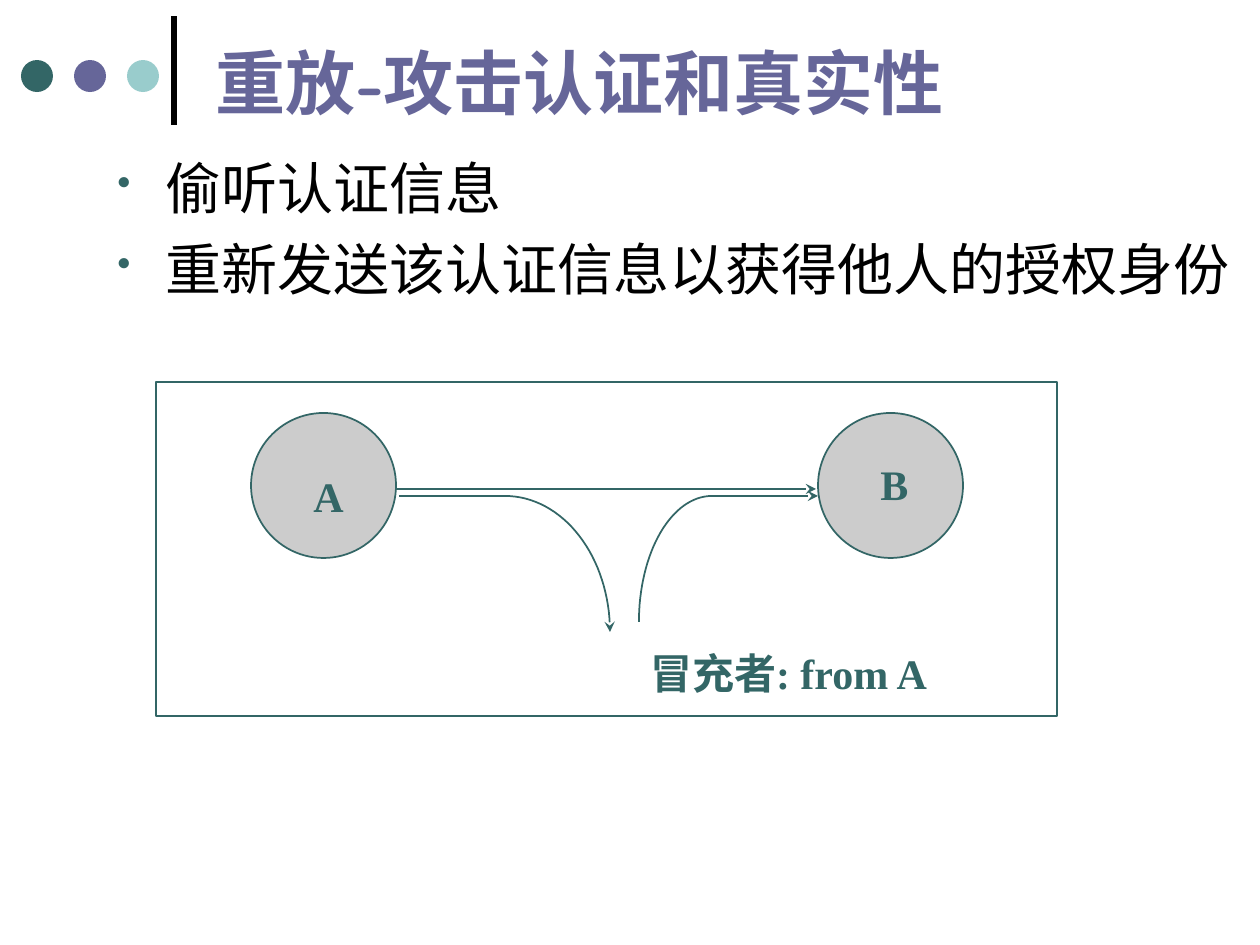
"""Build the slide on replay attacks against authentication."""
from math import cos, pi, sin

from lxml.etree import SubElement
from pptx import Presentation
from pptx.dml.color import RGBColor
from pptx.enum.shapes import MSO_CONNECTOR, MSO_SHAPE
from pptx.enum.text import MSO_ANCHOR, PP_ALIGN
from pptx.oxml.ns import qn
from pptx.util import Pt

PX = 914400 // 126
BLACK = RGBColor(0x00, 0x00, 0x00)
WHITE = RGBColor(0xFF, 0xFF, 0xFF)
GRAY = RGBColor(0xCC, 0xCC, 0xCC)
TEAL = RGBColor(0x33, 0x66, 0x66)
PURPLE = RGBColor(0x66, 0x66, 0x99)
AQUA = RGBColor(0x99, 0xCC, 0xCC)

TITLE = "重放-攻击认证和真实性"
BULLETS = ["偷听认证信息", "重新发送该认证信息以获得他人的授权身份"]
DOTS = [TEAL, PURPLE, AQUA]
DOT_LEFT, DOT_TOP, DOT_SIZE, DOT_STEP = 21, 60, 32, 53
FRAME = (156, 382, 901, 334)
NODES = [(251, 413), (818, 413)]
NODE_SIZE = 145
NODE_LABELS = [("A", (301, 464, 55, 63)), ("B", (868, 452, 53, 63))]
ATTACKER = "冒充者: from A"
LINES = [
    ((712, 496), (818, 496), True),
    ((396, 489), (816, 489), True),
    ((399, 496), (505, 496), False),
]
CURVES = [
    {"center": (712, 622), "radii": (73, 126), "start": pi, "end": pi / 2, "arrow": False},
    {"center": (505, 632), "radii": (105, 136), "start": pi / 2, "end": 0, "arrow": True},
]
CURVE_STEPS = 32


def emu(lengths):
    return [round(length * PX) for length in lengths]


def style_line(shape, color=TEAL, width=1, arrow=False):
    shape.line.color.rgb = color
    shape.line.width = Pt(width)
    if arrow:
        SubElement(shape.line._get_or_add_ln(), qn("a:tailEnd"), type="stealth")


def add_figure(page, kind, place, fill, outlined=False):
    shape = page.shapes.add_shape(kind, *emu(place))
    shape.shadow.inherit = False
    shape.fill.solid()
    shape.fill.fore_color.rgb = fill
    if outlined:
        style_line(shape)
    else:
        shape.line.fill.background()
    return shape


def add_line(page, start, end, **style):
    line = page.shapes.add_connector(MSO_CONNECTOR.STRAIGHT, *emu(start + end))
    SubElement(line._element.spPr, qn("a:effectLst"))
    style_line(line, **style)


def add_curve(page, center, radii, start, end, arrow):
    angles = [start + (end - start) * step / CURVE_STEPS for step in range(CURVE_STEPS + 1)]
    points = [
        emu((center[0] + radii[0] * cos(angle), center[1] - radii[1] * sin(angle)))
        for angle in angles
    ]
    builder = page.shapes.build_freeform(*points[0])
    builder.add_line_segments(points[1:], close=False)
    curve = builder.convert_to_shape()
    curve.shadow.inherit = False
    curve.fill.background()
    style_line(curve, arrow=arrow)


def add_bullet(para):
    props = para._p.get_or_add_pPr()
    props.set("marL", str(48 * PX))
    props.set("indent", str(-48 * PX))
    SubElement(SubElement(props, qn("a:buClr")), qn("a:srgbClr"), val=str(TEAL))
    SubElement(props, qn("a:buSzPct"), val="70000")
    SubElement(props, qn("a:buChar"), char="•")


def write(box, lines, size, color, font, bold=False, align=PP_ALIGN.LEFT,
          anchor=MSO_ANCHOR.TOP, wrap=True, bullets=False, gap=0):
    frame = box.text_frame
    frame.word_wrap = wrap
    frame.vertical_anchor = anchor
    for index, line in enumerate(lines):
        para = frame.add_paragraph() if index else frame.paragraphs[0]
        para.alignment = align
        if index:
            para.space_before = Pt(gap)
        if bullets:
            add_bullet(para)
        span = para.add_run()
        span.text = line
        span.font.size = Pt(size)
        span.font.name = font
        span.font.bold = bold
        span.font.color.rgb = color


def main():
    deck = Presentation()
    deck.slide_width, deck.slide_height = emu((1260, 945))
    page = deck.slides.add_slide(deck.slide_layouts[6])

    add_line(page, (174, 125), (174, 16), color=BLACK, width=3)
    for index, color in enumerate(DOTS):
        place = (DOT_LEFT + index * DOT_STEP, DOT_TOP, DOT_SIZE, DOT_SIZE)
        add_figure(page, MSO_SHAPE.OVAL, place, color)

    title = page.shapes.add_textbox(*emu((203, 3, 1142, 157)))
    write(title, [TITLE], 40, PURPLE, "Comic Neue", bold=True, anchor=MSO_ANCHOR.MIDDLE)
    body = page.shapes.add_textbox(*emu((105, 147, 1154, 262)))
    write(body, BULLETS, 32, BLACK, "Comic Neue", bullets=True, gap=8)

    add_figure(page, MSO_SHAPE.RECTANGLE, FRAME, WHITE, outlined=True)
    for corner in NODES:
        add_figure(page, MSO_SHAPE.OVAL, corner + (NODE_SIZE, NODE_SIZE), GRAY, outlined=True)
    label_style = {"size": 24, "color": TEAL, "font": "Times New Roman",
                   "bold": True, "align": PP_ALIGN.CENTER}
    for label, place in NODE_LABELS:
        box = add_figure(page, MSO_SHAPE.RECTANGLE, place, GRAY)
        write(box, [label], wrap=False, **label_style)
    attacker = page.shapes.add_textbox(*emu((510, 641, 557, 63)))
    write(attacker, [ATTACKER], **label_style)

    for start, end, arrow in LINES:
        add_line(page, start, end, arrow=arrow)
    for curve in CURVES:
        add_curve(page, **curve)

    deck.save("out.pptx")


if __name__ == "__main__":
    main()
